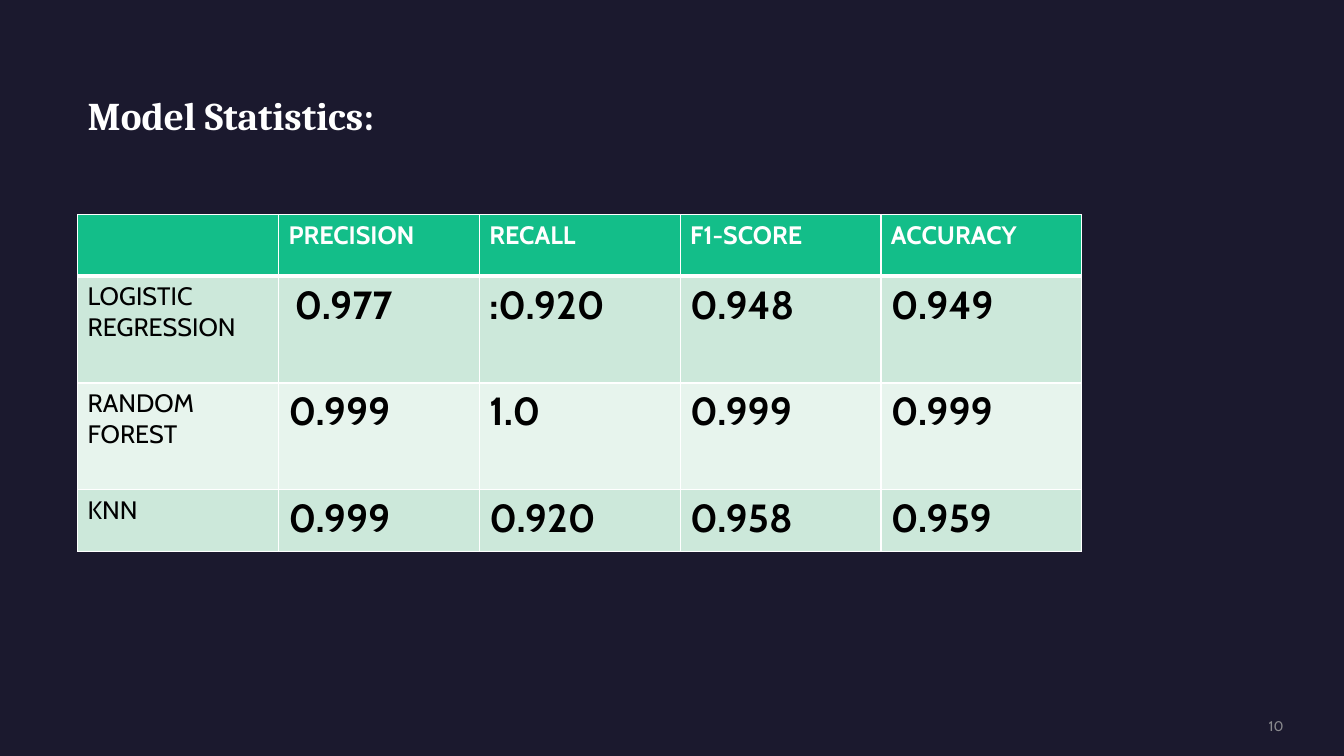
from pptx import Presentation
from pptx.dml.color import RGBColor
from pptx.enum.text import MSO_ANCHOR as ANCHOR, MSO_AUTO_SIZE as AUTO, PP_ALIGN as ALIGN
from pptx.util import Inches, Pt
from lxml.etree import SubElement
from pptx.oxml.ns import qn

NAVY = RGBColor(0x1B, 0x19, 0x2E)
GREEN = RGBColor(0x13, 0xBE, 0x89)
MINT = RGBColor(0xCC, 0xE8, 0xDA)
PALE = RGBColor(0xE7, 0xF4, 0xED)
GREY = RGBColor(0x8A, 0x8A, 0x8E)
WHITE = RGBColor(0xFF, 0xFF, 0xFF)
BLACK = RGBColor(0, 0, 0)

HEAD = ["", "PRECISION", "RECALL", "F1-SCORE", "ACCURACY"]
SCORES = [
    ["LOGISTIC REGRESSION", "0.977", ":0.920", "0.948", "0.949"],
    ["RANDOM FOREST", "0.999", "1.0", "0.999", "0.999"],
    ["KNN", "0.999", "0.920", "0.958", "0.959"],
]


def write(tf, text, size=18, font="Cabin", color=BLACK, bold=False, align=ALIGN.LEFT):
    p = tf.paragraphs[0]
    p.alignment = align
    r = p.add_run()
    r.text = text
    r.font.size, r.font.name, r.font.bold = Pt(size), font, bold
    r.font.color.rgb = color


class Deck:
    def __init__(self, width, height):
        self.prs = Presentation()
        self.prs.slide_width, self.prs.slide_height = Inches(width), Inches(height)
        self.s = None

    def slide(self, color):
        self.s = self.prs.slides.add_slide(self.prs.slide_layouts[5])
        fill = self.s.background.fill
        fill.solid()
        fill.fore_color.rgb = color

    def title(self, text, x, y, w, h, **style):
        sp = self.s.shapes.title
        sp.left, sp.top, sp.width, sp.height = map(Inches, (x, y, w, h))
        tf = sp.text_frame
        tf.auto_size, tf.vertical_anchor = AUTO.NONE, ANCHOR.TOP
        write(tf, text, **style)

    def text(self, text, x, y, w, h, **style):
        tf = self.s.shapes.add_textbox(*map(Inches, (x, y, w, h))).text_frame
        tf.word_wrap, tf.vertical_anchor = True, ANCHOR.MIDDLE
        tf.margin_left = tf.margin_right = tf.margin_top = tf.margin_bottom = 0
        write(tf, text, **style)

    def borders(self, cell, color, **widths):
        tcPr = cell._tc.get_or_add_tcPr()
        for side in "LRTB":
            ln = SubElement(tcPr, qn("a:ln" + side), w=str(Pt(widths.get(side, 1))))
            fill = SubElement(ln, qn("a:solidFill"))
            SubElement(fill, qn("a:srgbClr"), val=str(color))

    def table(self, rows, x, y, w, heights):
        cols = len(rows[0])
        frame = self.s.shapes.add_table(
            len(rows), cols, *map(Inches, (x, y, w, sum(heights))))
        table = frame.table
        for col in table.columns:
            col.width = Inches(w / cols)
        for i, (values, height) in enumerate(zip(rows, heights)):
            table.rows[i].height = Inches(height)
            for j, value in enumerate(values):
                cell = table.cell(i, j)
                # Heavy rule between header and body
                self.borders(cell, WHITE, B=3 if i == 0 else 1, T=3 if i == 1 else 1)
                cell.fill.solid()
                cell.fill.fore_color.rgb = GREEN if i == 0 else MINT if i % 2 else PALE
                if i == 0:
                    style = dict(color=WHITE, bold=True)
                else:
                    style = dict(size=28, bold=True) if j else {}
                if value:
                    write(cell.text_frame, value, **style)
        return table


deck = Deck(13.33, 7.5)
deck.slide(NAVY)

# Title
deck.title("Model Statistics:", 0.77, 0.86, 6.78, 1.04,
           size=28, font="Cambria", color=WHITE, bold=True)

# Model scores, with the first value slightly indented
scores = deck.table([HEAD] + SCORES, 0.77, 2.13, 9.96, [0.61, 1.06, 1.06, 0.61])
scores.cell(1, 1).margin_left = Inches(0.16)

# Slide number
deck.text("10", 10.88, 7.12, 1.85, 0.17, size=10, color=GREY, align=ALIGN.RIGHT)

deck.prs.save("out.pptx")
